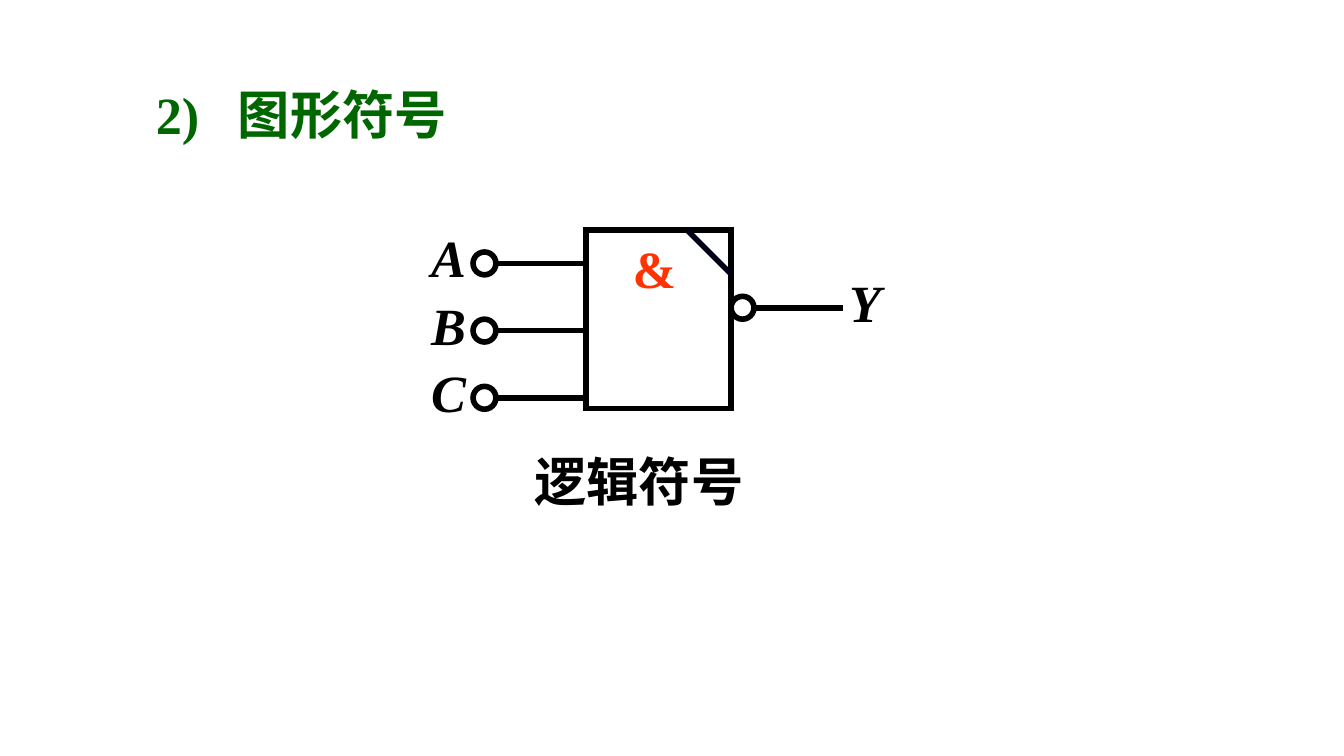
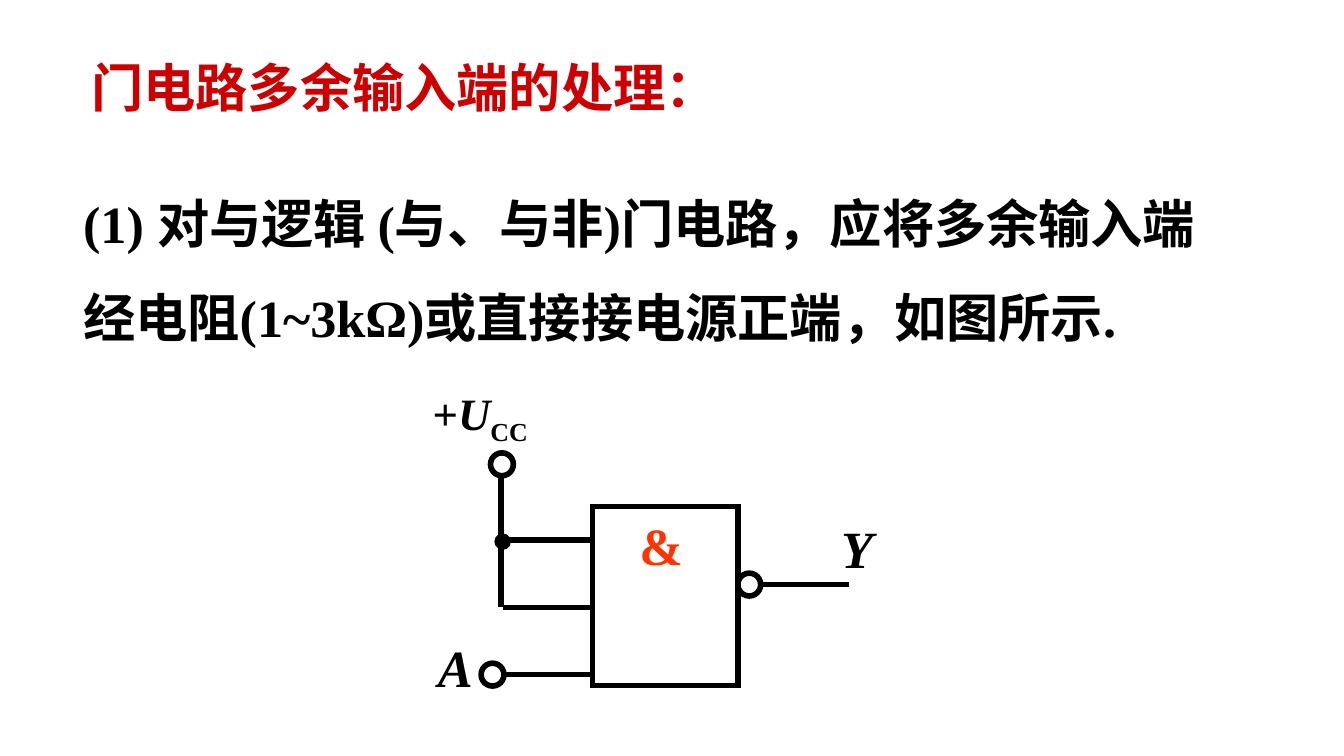
from lxml import etree
from pptx import Presentation
from pptx.dml.color import RGBColor
from pptx.enum.shapes import MSO_CONNECTOR, MSO_SHAPE
from pptx.enum.text import MSO_ANCHOR, MSO_AUTO_SIZE, PP_ALIGN
from pptx.oxml.ns import qn
from pptx.util import Inches, Pt

RECT, OVAL = MSO_SHAPE.RECTANGLE, MSO_SHAPE.OVAL
LINE = MSO_CONNECTOR.STRAIGHT
TOP, LEFT, FIXED = MSO_ANCHOR.TOP, PP_ALIGN.LEFT, MSO_AUTO_SIZE.NONE

FONT = "Times New Roman"
BLACK, NAVY, RED, GREEN, ORANGE = "000000", "000018", "CC0000", "006600", "FF3300"
RING, DOT = 0.17, 0.08
GATE_W, GATE_H = 1.08, 1.33
OUT_Y = 0.58  # output level below the gate's top
PINS = [0.25, 0.75, 1.25]  # input levels below the gate's top


def write(box, place, runs, color=BLACK, size=28):
    """Place a text box and fill it with (text, style) runs: i italic, s subscript."""
    box.left, box.top, box.width, box.height = [Inches(n) for n in place]
    frame = box.text_frame
    frame.word_wrap = True
    frame.auto_size = FIXED
    frame.vertical_anchor = TOP
    para = frame.paragraphs[0]
    para.alignment = LEFT
    for text, style in runs:
        run = para.add_run()
        run.text = text
        font = run.font
        font.name, font.size, font.bold = FONT, Pt(size), True
        font.italic = "i" in style
        font.color.rgb = RGBColor.from_string(color)
        if "s" in style:
            font._element.set("baseline", "-25000")
    return para


deck = Presentation()
deck.slide_width = Inches(10)
deck.slide_height = deck.slide_width * 9 // 16

# Circuit parts are given from the gate's top left corner.
pages = [
    {
        "title": "2)\t图形符号", "place": (1.06, 0.56, 2.5, 0.57), "color": GREEN,
        "gate": (4.36, 1.71),
        "rings": [(-0.84, pin - RING / 2) for pin in PINS],
        "wires": [(0.75, 0, GATE_W, 0.33, NAVY)],
        "dots": [],
        "labels": [("A", -1.25, -0.08), ("B", -1.25, 0.42), ("C", -1.25, 0.92),
                   ("Y", 1.86, 0.25)],
    },
    {
        "title": "门电路多余输入端的处理：", "place": (0.58, 0.36, 8.01, 0.57), "color": RED,
        "gate": (4.41, 3.77),
        "rings": [(-0.76, -0.4), (-0.83, PINS[2] - RING / 2)],
        "wires": [(-0.68, -0.24, -0.68, PINS[1], BLACK)],
        "dots": [(-0.71, 0.22)],
        "labels": [("A", -1.25, 0.91), ("Y", 1.75, 0.02)],
    },
]

for page in pages:
    slide = deck.slides.add_slide(deck.slide_layouts[5])
    shapes = slide.shapes
    page["slide"] = slide
    head = write(shapes.title, page["place"], [(page["title"], "")], page["color"])
    if "\t" in page["title"]:
        props = head._p.get_or_add_pPr()
        props.set("marL", str(Inches(0.61)))
        props.set("indent", str(-Inches(0.61)))

    x, y = page["gate"]
    parts = [(RECT, 0, 0, GATE_W, GATE_H, None)]
    parts += [(OVAL, dx, dy, RING, RING, None)
              for dx, dy in page["rings"] + [(GATE_W, OUT_Y - RING / 2)]]
    parts += [(OVAL, dx, dy, DOT, DOT, BLACK) for dx, dy in page["dots"]]
    for kind, dx, dy, w, h, fill in parts:
        part = shapes.add_shape(kind, Inches(x + dx), Inches(y + dy), Inches(w), Inches(h))
        part.shadow.inherit = False
        part.line.color.rgb = RGBColor.from_string(BLACK)
        part.line.width = Pt(3)
        edge = part._element.spPr.find(qn("a:ln"))
        etree.SubElement(edge, qn("a:miter")).set("lim", "800000")
        if fill:
            part.fill.solid()
            part.fill.fore_color.rgb = RGBColor.from_string(fill)
        else:
            part.fill.background()

    wires = [(-0.67, pin, 0, pin, BLACK) for pin in PINS]
    wires.append((GATE_W + RING, OUT_Y, 1.91, OUT_Y, BLACK))
    for x1, y1, x2, y2, color in wires + page["wires"]:
        wire = shapes.add_connector(LINE, Inches(x + x1), Inches(y + y1),
                                    Inches(x + x2), Inches(y + y2))
        wire.line.color.rgb = RGBColor.from_string(color)
        wire.line.width = Pt(3)
        etree.SubElement(wire._element.spPr, qn("a:effectLst"))

    write(shapes.add_textbox(0, 0, 0, 0), (x + 0.25, y, 0.5, 0.57), [("&", "")], ORANGE)
    for text, dx, dy in page["labels"]:
        write(shapes.add_textbox(0, 0, 0, 0), (x + dx, y + dy, 0.5, 0.57), [(text, "i")])

symbol, spare = [page["slide"].shapes for page in pages]
write(symbol.add_textbox(0, 0, 0, 0), (3.88, 3.29, 2, 0.57), [("逻辑符号", "")])

body = write(spare.add_textbox(0, 0, 0, 0), (0.52, 1.14, 8.61, 1.51), [
    ("(1) 对与逻辑 (与、与非)门电路，应将多余输入端经电阻(1~3kΩ)或直接接电源正端，如图所示.", "")])
body.line_spacing = 1.5
write(spare.add_textbox(0, 0, 0, 0), (3.12, 2.82, 0.93, 0.51),
      [("+", ""), ("U", "i"), ("CC", "s")], size=24)

deck.save("out.pptx")
